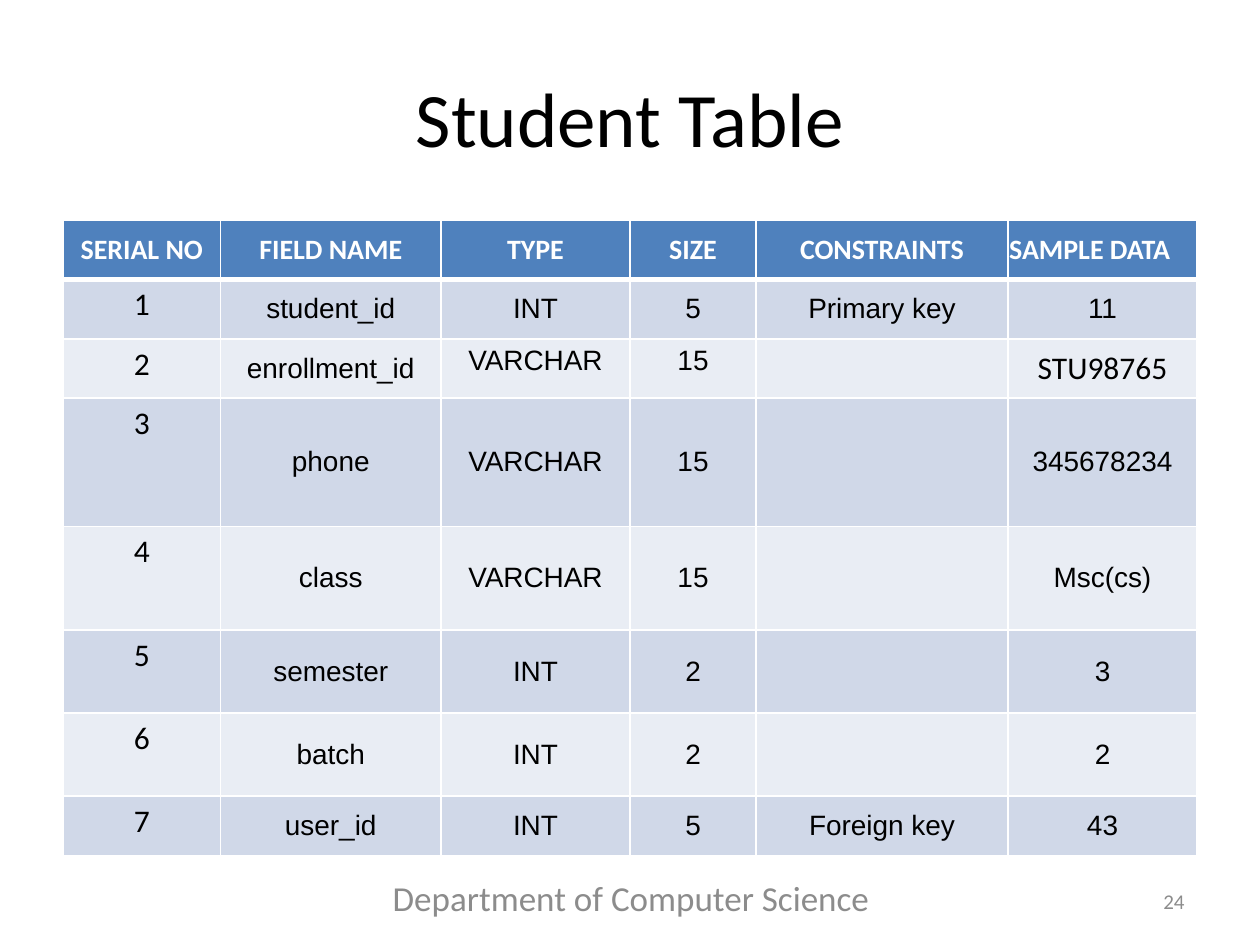
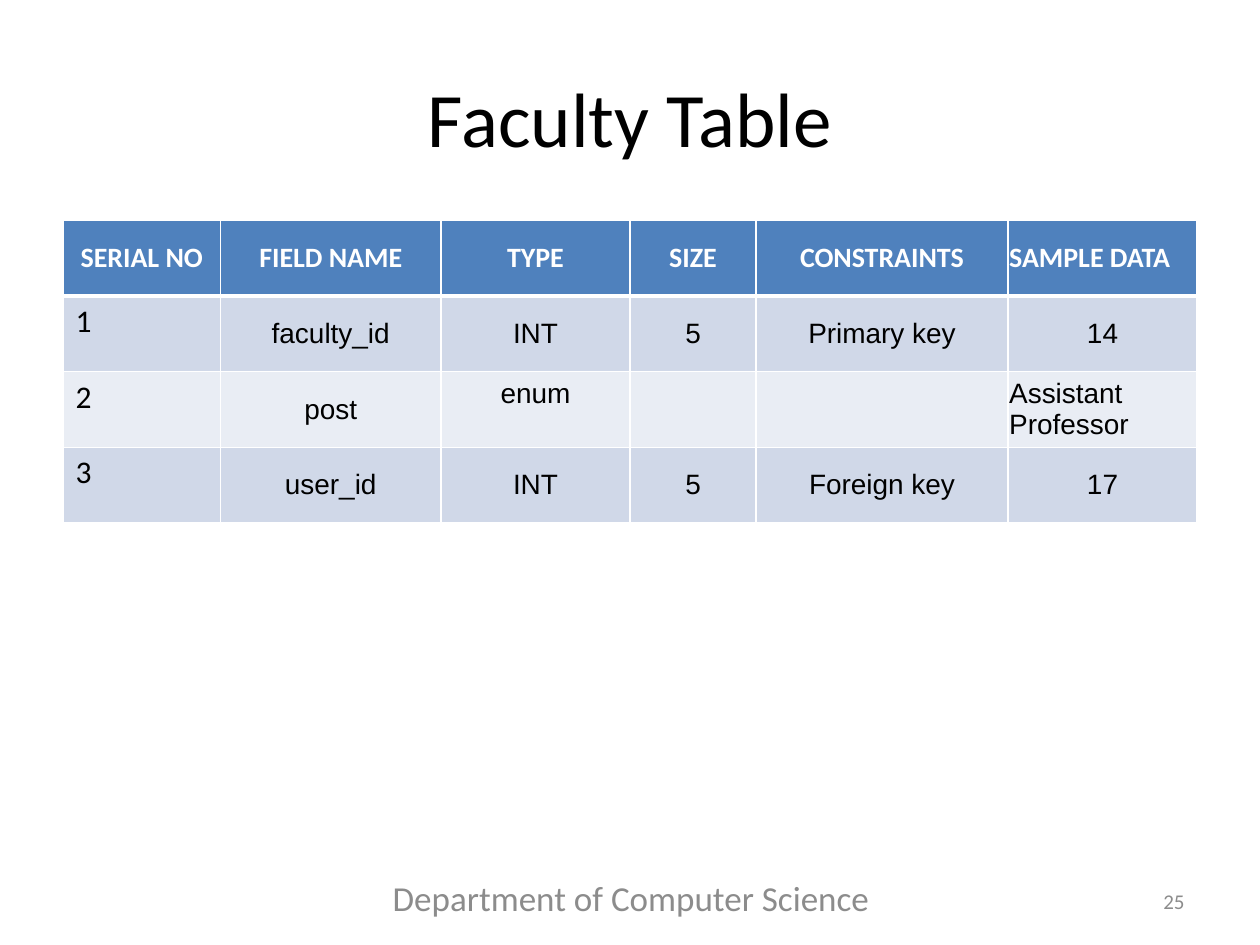
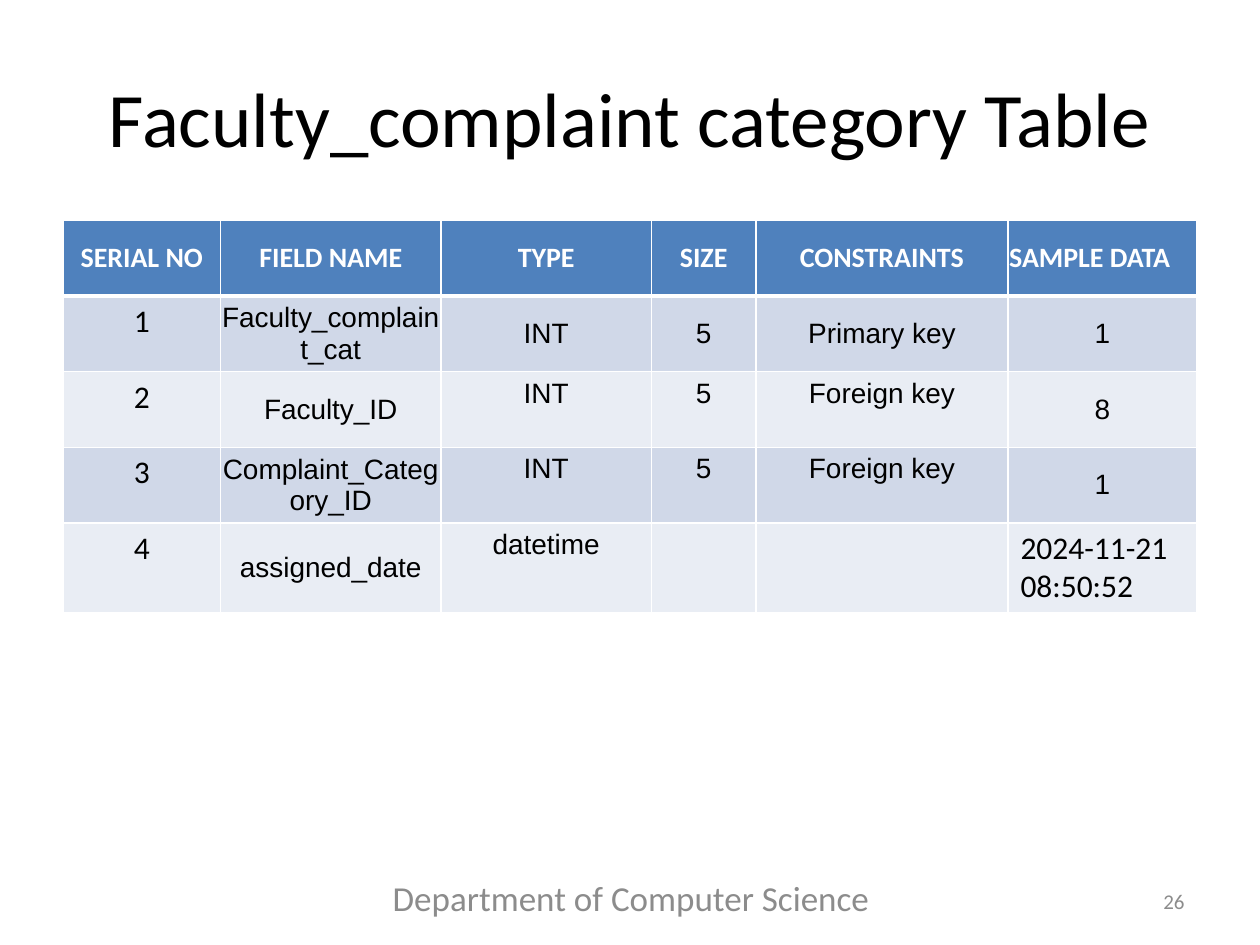
from dataclasses import dataclass, replace

from lxml import etree
from pptx import Presentation
from pptx.dml.color import RGBColor
from pptx.enum.text import MSO_ANCHOR, MSO_AUTO_SIZE, PP_ALIGN
from pptx.oxml.ns import qn
from pptx.util import Inches, Pt

LEFT, CENTER, RIGHT = PP_ALIGN.LEFT, PP_ALIGN.CENTER, PP_ALIGN.RIGHT
TOP, MIDDLE = MSO_ANCHOR.TOP, MSO_ANCHOR.MIDDLE
NO_AUTOFIT = MSO_AUTO_SIZE.NONE

# Shared colours, wording and layout
BLACK = RGBColor(0x00, 0x00, 0x00)
WHITE = RGBColor(0xFF, 0xFF, 0xFF)
GREY = RGBColor(0x8C, 0x8C, 0x8C)
HEADER_BLUE = RGBColor(0x4F, 0x81, 0xBD)
BANDS = (RGBColor(0xD0, 0xD8, 0xE8), RGBColor(0xE9, 0xED, 0xF4))

FOOTER = "Department of Computer Science "
FIRST_PAGE_NUMBER = 24
HEADINGS = ("SERIAL NO", "FIELD NAME", "TYPE", "SIZE", "CONSTRAINTS", "SAMPLE DATA")
COLUMN_WIDTHS = (1.25, 1.75, 1.5, 1, 2, 1.5)
WIDE_TYPE_WIDTHS = (1.25, 1.75, 1.67, 0.83, 2, 1.5)
TITLE_ONLY = 5


@dataclass(frozen=True)
class TextStyle:
    size: int
    font: str = "Calibri"
    color: RGBColor = BLACK
    bold: bool = False
    align: PP_ALIGN = CENTER
    anchor: MSO_ANCHOR = MIDDLE
    tight: bool = False


@dataclass(frozen=True)
class Entry:
    text: str
    style: TextStyle


@dataclass(frozen=True)
class FieldTable:
    title: str
    row_heights: tuple[float, ...]
    rows: tuple[tuple[str | Entry, ...], ...]
    column_widths: tuple[float, ...] = COLUMN_WIDTHS
    serial_align: PP_ALIGN = CENTER


TITLE = TextStyle(44)
FOOTER_TEXT = TextStyle(20, color=GREY)
PAGE_NUMBER = TextStyle(12, color=GREY, align=RIGHT)
HEADING = TextStyle(16, color=WHITE, bold=True, tight=True)
HEADING_LEFT = replace(HEADING, align=LEFT)
SERIAL = TextStyle(18, anchor=TOP)
VALUE = TextStyle(16, "Arial", tight=True)
VALUE_LEFT = replace(VALUE, align=LEFT)
VALUE_TOP = replace(VALUE, anchor=TOP, tight=False)
CODE = TextStyle(18, tight=True)
TIMESTAMP = TextStyle(18, align=LEFT)


def top(text: str) -> Entry:
    return Entry(text, VALUE_TOP)


# Content: field name, type, size, constraint, sample
TABLES = (
    FieldTable(
        "Student Table",
        (0.47, 0.47, 0.47, 1.02, 0.82, 0.66, 0.66, 0.47),
        (
            ("student_id", "INT", "5", "Primary key", "11"),
            ("enrollment_id", top("VARCHAR"), top("15"), "", Entry("STU98765", CODE)),
            ("phone", "VARCHAR", "15", "", "345678234"),
            ("class", "VARCHAR", "15", "", "Msc(cs)"),
            ("semester", "INT", "2", "", "3"),
            ("batch", "INT", "2", "", "2"),
            ("user_id", "INT", "5", "Foreign key", "43"),
        ),
    ),
    FieldTable(
        "Faculty Table",
        (0.6,) * 4,
        (
            ("faculty_id", "INT", "5", "Primary key", "14"),
            ("post", top("enum"), "", "", Entry("Assistant Professor", VALUE_LEFT)),
            ("user_id", "INT", "5", "Foreign key", "17"),
        ),
        serial_align=LEFT,
    ),
    FieldTable(
        "Faculty_complaint category Table",
        (0.6,) * 4 + (0.7,),
        (
            ("Faculty_complaint_cat", "INT", "5", "Primary key", "1"),
            ("Faculty_ID", top("INT"), top("5"), top("Foreign key"), "8"),
            ("Complaint_Category_ID", top("INT"), top("5"), top("Foreign key"), "1"),
            ("assigned_date", top("datetime"), "", "",
             Entry("2024-11-21 08:50:52", TIMESTAMP)),
        ),
        column_widths=WIDE_TYPE_WIDTHS,
    ),
)


def write_text(frame, text: str, style: TextStyle) -> None:
    para = frame.paragraphs[0]
    para.alignment = style.align
    span = para.add_run()
    span.text = text
    span.font.name = style.font
    span.font.size = Pt(style.size)
    span.font.bold = style.bold
    span.font.color.rgb = style.color


def add_title(page, text: str) -> None:
    title = page.shapes.title
    title.left, title.top = Inches(0.5), Inches(0.3)
    title.width, title.height = Inches(9), Inches(1.25)
    title.text_frame.auto_size = NO_AUTOFIT
    title.text_frame.vertical_anchor = TITLE.anchor
    write_text(title.text_frame, text, TITLE)


def add_label(page, text: str, style: TextStyle, left: float, y: float, width: float) -> None:
    box = page.shapes.add_textbox(Inches(left), Inches(y), Inches(width), Inches(0.4))
    box.text_frame.word_wrap = True
    box.text_frame.vertical_anchor = style.anchor
    write_text(box.text_frame, text, style)


def add_borders(cell, top_width: int, bottom_width: int) -> None:
    properties = cell._tc.get_or_add_tcPr()
    widths = {"lnL": 1, "lnR": 1, "lnT": top_width, "lnB": bottom_width}
    for position, (side, width) in enumerate(widths.items()):
        line = etree.Element(qn(f"a:{side}"), w=str(Pt(width)))
        fill = etree.SubElement(line, qn("a:solidFill"))
        etree.SubElement(fill, qn("a:srgbClr"), val=str(WHITE))
        properties.insert(position, line)


def fill_cell(cell, entry: Entry, row: int) -> None:
    style = entry.style
    cell.fill.solid()
    cell.fill.fore_color.rgb = BANDS[(row - 1) % 2] if row else HEADER_BLUE
    add_borders(cell, 3 if row == 1 else 1, 3 if row == 0 else 1)
    cell.vertical_anchor = style.anchor
    if style.tight:
        cell.margin_left = cell.margin_right = Inches(0.01)
    if entry.text:
        write_text(cell.text_frame, entry.text, style)


def table_entries(content: FieldTable) -> list[list[Entry]]:
    headings = [Entry(text, HEADING) for text in HEADINGS[:-1]]
    lines = [headings + [Entry(HEADINGS[-1], HEADING_LEFT)]]
    serial_style = replace(SERIAL, align=content.serial_align)
    for number, values in enumerate(content.rows, start=1):
        entries = [item if isinstance(item, Entry) else Entry(item, VALUE) for item in values]
        lines.append([Entry(str(number), serial_style)] + entries)
    return lines


def add_field_table(page, content: FieldTable) -> None:
    lines = table_entries(content)
    table = page.shapes.add_table(
        len(lines), len(HEADINGS), Inches(0.5), Inches(1.75),
        Inches(sum(content.column_widths)), Inches(sum(content.row_heights)),
    ).table
    for column, width in zip(table.columns, content.column_widths):
        column.width = Inches(width)
    for row, (height, entries) in enumerate(zip(content.row_heights, lines)):
        table.rows[row].height = Inches(height)
        for column, entry in enumerate(entries):
            fill_cell(table.cell(row, column), entry, row)


def main() -> None:
    deck = Presentation()
    deck.slide_width, deck.slide_height = Inches(10), Inches(7.5)
    for number, content in enumerate(TABLES, start=FIRST_PAGE_NUMBER):
        page = deck.slides.add_slide(deck.slide_layouts[TITLE_ONLY])
        add_title(page, content.title)
        add_field_table(page, content)
        add_label(page, FOOTER, FOOTER_TEXT, 2.83, 6.92, 4.42)
        add_label(page, str(number), PAGE_NUMBER, 7.17, 6.95, 2.33)
    deck.save("out.pptx")


if __name__ == "__main__":
    main()
